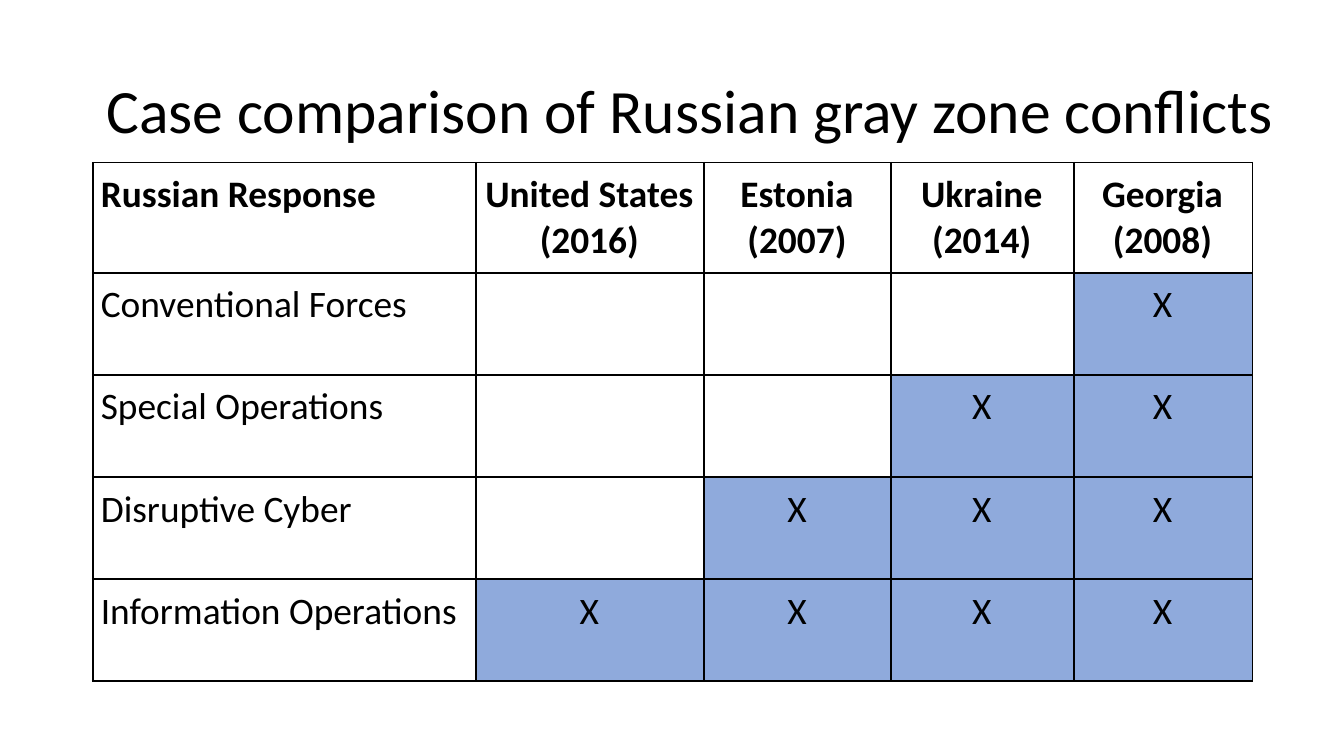
"""Build a slide comparing Russian responses across four gray zone conflicts."""
from lxml.etree import SubElement
from pptx import Presentation
from pptx.dml.color import RGBColor
from pptx.enum.text import MSO_ANCHOR, PP_ALIGN
from pptx.oxml.ns import qn
from pptx.util import Inches, Pt

TITLE = "Case comparison of Russian gray zone conflicts"
ROWS = [
    ["Russian Response", "United States (2016)", "Estonia (2007)", "Ukraine (2014)", "Georgia (2008)"],
    ["Conventional Forces", "", "", "", "X"],
    ["Special Operations", "", "", "X", "X"],
    ["Disruptive Cyber", "", "X", "X", "X"],
    ["Information Operations", "X", "X", "X", "X"],
]
COLUMN_WIDTHS = [2.85, 1.7, 1.39, 1.36, 1.33]
HEADER_HEIGHT, ROW_HEIGHT = 0.77, 0.76
PAGE_WIDTH = 10
PAGE_HEIGHT = PAGE_WIDTH * 9 / 16
LEFT, TABLE_TOP = 0.69, 1.21
COLORS = {"text": "000000", "border": "000000", "plain": "FFFFFF", "marked": "8FAADC"}
FONT = "Calibri"


def style_paragraph(paragraph, size, bold, alignment):
    paragraph.alignment = alignment
    paragraph.font.name = FONT
    paragraph.font.size = Pt(size)
    paragraph.font.bold = bold
    paragraph.font.color.rgb = RGBColor.from_string(COLORS["text"])


def add_borders(cell):
    properties = cell._tc.get_or_add_tcPr()
    for side in ("L", "R", "T", "B"):
        line = SubElement(properties, qn(f"a:ln{side}"), w=str(Pt(1)))
        fill = SubElement(line, qn("a:solidFill"))
        SubElement(fill, qn("a:srgbClr"), val=COLORS["border"])


def add_title(page):
    title = page.shapes.title
    title.left, title.top = Inches(LEFT), Inches(0.3)
    title.width, title.height = Inches(8.99), Inches(1.09)
    title.text_frame.text = TITLE
    title.text_frame.vertical_anchor = MSO_ANCHOR.MIDDLE
    paragraph = title.text_frame.paragraphs[0]
    paragraph.line_spacing = 0.9
    style_paragraph(paragraph, 33, False, PP_ALIGN.LEFT)


def fill_cell(cell, text, is_header, is_label):
    cell.text = text
    cell.margin_left = Inches(0.06)
    cell.margin_top = cell.margin_right = cell.margin_bottom = Inches(0.07)
    alignment = PP_ALIGN.LEFT if is_label else PP_ALIGN.CENTER
    style_paragraph(cell.text_frame.paragraphs[0], 20, is_header, alignment)
    add_borders(cell)
    cell.fill.solid()
    cell.fill.fore_color.rgb = RGBColor.from_string(COLORS["marked" if text == "X" else "plain"])


def add_comparison(page):
    heights = [HEADER_HEIGHT] + [ROW_HEIGHT] * (len(ROWS) - 1)
    table = page.shapes.add_table(
        len(ROWS), len(COLUMN_WIDTHS), Inches(LEFT), Inches(TABLE_TOP),
        Inches(sum(COLUMN_WIDTHS)), Inches(sum(heights))).table
    for column, width in zip(table.columns, COLUMN_WIDTHS):
        column.width = Inches(width)
    for row_index, (row, height) in enumerate(zip(table.rows, heights)):
        row.height = Inches(height)
        for column_index, text in enumerate(ROWS[row_index]):
            fill_cell(row.cells[column_index], text, row_index == 0, column_index == 0)


def main():
    deck = Presentation()
    deck.slide_width, deck.slide_height = Inches(PAGE_WIDTH), Inches(PAGE_HEIGHT)
    page = deck.slides.add_slide(deck.slide_layouts[5])
    add_title(page)
    add_comparison(page)
    deck.save("out.pptx")


if __name__ == "__main__":
    main()
